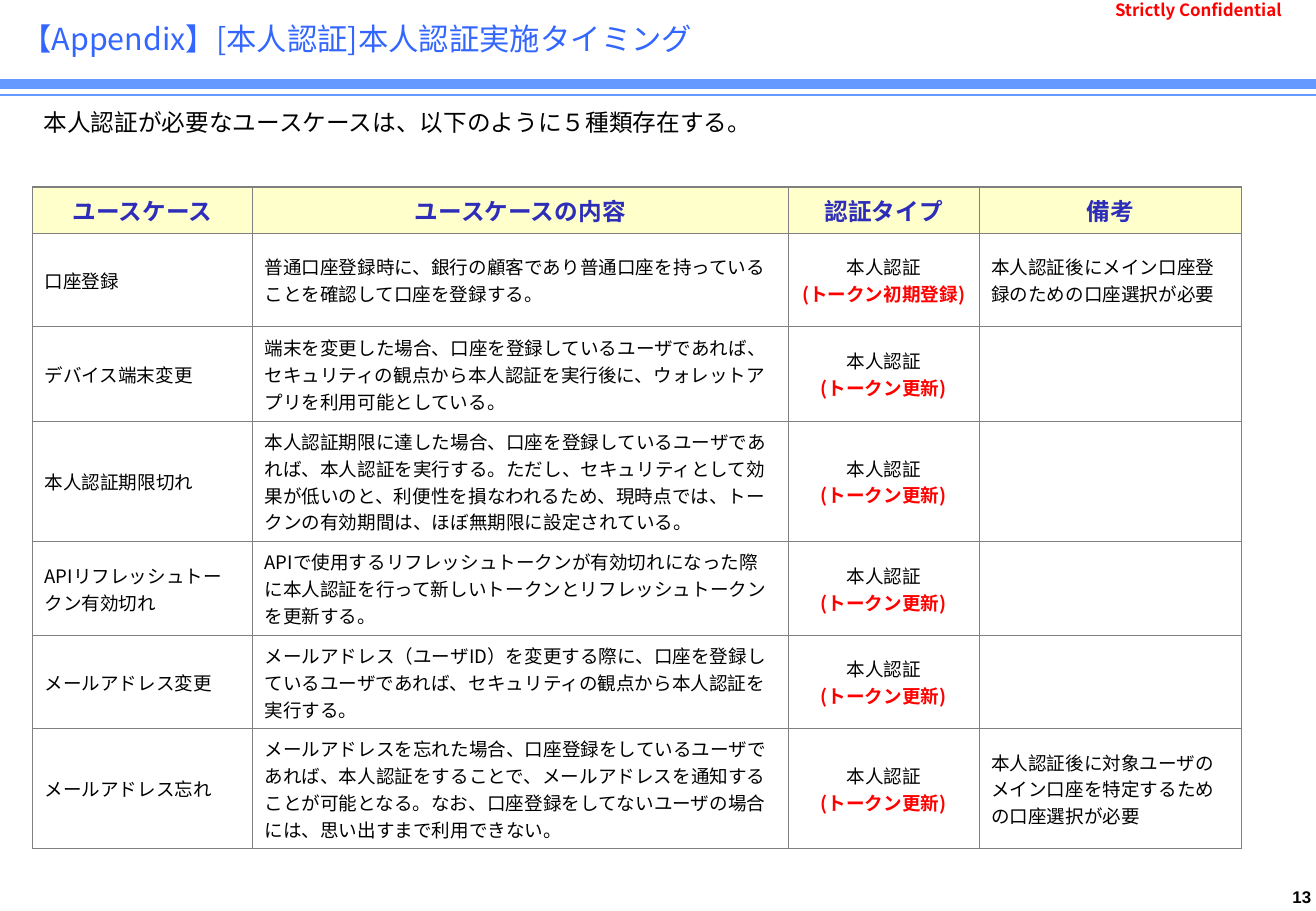
from dataclasses import dataclass

from lxml import etree
from pptx import Presentation
from pptx import util as u
from pptx.dml.color import RGBColor
from pptx.enum import shapes, text
from pptx.oxml import ns

FONT = "Noto Sans CJK JP"
BLUE, RED, BLACK = "6699FF", "FF0000", "000000"
GREY, NAVY, CREAM = "808080", "2D2DB9", "FFFFCC"
LEFT, MID, RIGHT, JUST = (text.PP_ALIGN.LEFT, text.PP_ALIGN.CENTER,
                          text.PP_ALIGN.RIGHT, text.PP_ALIGN.JUSTIFY)
TOP, CENTER = text.MSO_ANCHOR.TOP, text.MSO_ANCHOR.MIDDLE


@dataclass
class Label:
    words: str
    left: float
    top: float
    width: float
    height: float
    size: float
    color: str = BLACK
    bold: bool = False
    align: text.PP_ALIGN = LEFT
    anchor: text.MSO_ANCHOR = TOP
    font: str = FONT
    wrap: bool = True
    side: float = 0.25
    edge: float = 0.13


@dataclass
class Rule:
    top: float
    weight: float


@dataclass
class Case:
    name: str
    detail: str
    token: str
    note: str
    height: float


LABELS = [
    Label("13", 26.7, 18.44, 0.81, 0.64, 10, bold=True, align=RIGHT,
          font="Arial", wrap=False, side=0.1, edge=0.1),
    Label("Strictly Confidential", 23.11, 0.08, 4.47, 0.25, 10, RED, True,
          JUST, CENTER, side=0.2, edge=0.1),
    Label("【Appendix】[本人認証]本人認証実施タイミング",
          0.2, 0.16, 26.37, 1.3, 18, "3366FF", anchor=CENTER),
    Label("本人認証が必要なユースケースは、以下のように５種類存在する。",
          0.66, 2.13, 26.21, 1.6, 14),
]
RULES = [Rule(1.75, 6), Rule(1.98, 1)]
HEADS = ["ユースケース", "ユースケースの内容", "認証タイプ", "備考"]
WIDTHS = [4.6, 11.2, 3.99, 5.49]
HEAD_H = 0.97
RENEW = "(トークン更新)"
CASES = [
    Case("口座登録",
         "普通口座登録時に、銀行の顧客であり普通口座を持っていることを確認して口座を登録する。",
         "(トークン初期登録)",
         "本人認証後にメイン口座登録のための口座選択が必要", 1.95),
    Case("デバイス端末変更",
         "端末を変更した場合、口座を登録しているユーザであれば、セキュリティの観点から"
         "本人認証を実行後に、ウォレットアプリを利用可能としている。",
         RENEW, "", 1.98),
    Case("本人認証期限切れ",
         "本人認証期限に達した場合、口座を登録しているユーザであれば、本人認証を実行する。"
         "ただし、セキュリティとして効果が低いのと、利便性を損なわれるため、現時点では、"
         "トークンの有効期間は、ほぼ無期限に設定されている。",
         RENEW, "", 2.51),
    Case("APIリフレッシュトークン有効切れ",
         "APIで使用するリフレッシュトークンが有効切れになった際に本人認証を行って"
         "新しいトークンとリフレッシュトークンを更新する。",
         RENEW, "", 1.97),
    Case("メールアドレス変更",
         "メールアドレス（ユーザID）を変更する際に、口座を登録しているユーザであれば、"
         "セキュリティの観点から本人認証を実行する。",
         RENEW, "", 1.95),
    Case("メールアドレス忘れ",
         "メールアドレスを忘れた場合、口座登録をしているユーザであれば、本人認証をすることで、"
         "メールアドレスを通知することが可能となる。なお、口座登録をしてないユーザの場合には、"
         "思い出すまで利用できない。",
         RENEW, "本人認証後に対象ユーザのメイン口座を特定するための口座選択が必要", 2.51),
]


def paint(code: str) -> RGBColor:
    return RGBColor.from_string(code)


def style(para, size: float, color: str, bold: bool, align, font: str = FONT) -> None:
    para.alignment = align
    for run in para.runs:
        run.font.size = u.Pt(size)
        run.font.bold = bold
        run.font.name = font
        run.font.color.rgb = paint(color)
        east = etree.SubElement(run.font._element, ns.qn("a:ea"))
        east.set("typeface", font)


def draw_rule(slide, rule: Rule, width: int) -> None:
    line = slide.shapes.add_connector(
        shapes.MSO_CONNECTOR.STRAIGHT, 0, u.Cm(rule.top), width, u.Cm(rule.top))
    line.line.width = u.Pt(rule.weight)
    line.line.color.rgb = paint(BLUE)
    etree.SubElement(line._element.spPr, ns.qn("a:effectLst"))


def draw_label(slide, label: Label) -> None:
    box = slide.shapes.add_textbox(
        *map(u.Cm, (label.left, label.top, label.width, label.height)))
    frame = box.text_frame
    frame.word_wrap = label.wrap
    frame.vertical_anchor = label.anchor
    frame.margin_left = frame.margin_right = u.Cm(label.side)
    frame.margin_top = frame.margin_bottom = u.Cm(label.edge)
    frame.text = label.words
    style(frame.paragraphs[0], label.size, label.color, label.bold,
          label.align, label.font)


def draw_cell(cell, words: str, fill: str = "") -> None:
    cell.vertical_anchor = CENTER
    cell.margin_left = cell.margin_right = u.Cm(0.25)
    cell.margin_top = cell.margin_bottom = u.Cm(0.13)
    cell.text_frame.text = words
    # Borders go ahead of the fill
    props = cell._tc.get_or_add_tcPr()
    for side in ("lnL", "lnR", "lnT", "lnB"):
        edge = etree.SubElement(props, ns.qn("a:" + side), w=str(u.Pt(0.75)))
        solid = etree.SubElement(edge, ns.qn("a:solidFill"))
        etree.SubElement(solid, ns.qn("a:srgbClr"), val=GREY)
    if fill:
        cell.fill.solid()
        cell.fill.fore_color.rgb = paint(fill)
    else:
        cell.fill.background()


def draw_table(slide) -> None:
    tall = [HEAD_H] + [case.height for case in CASES]
    table = slide.shapes.add_table(
        len(tall), len(WIDTHS), u.Cm(0.68), u.Cm(3.91),
        u.Cm(sum(WIDTHS)), u.Cm(sum(tall))).table
    table.first_row = table.horz_banding = False
    for col, width in zip(table.columns, WIDTHS):
        col.width = u.Cm(width)
    for row, height in zip(table.rows, tall):
        row.height = u.Cm(height)
    # Heading row
    for c, head in enumerate(HEADS):
        cell = table.cell(0, c)
        draw_cell(cell, head, CREAM)
        style(cell.text_frame.paragraphs[0], 14, NAVY, True, MID)
    # Use cases, with the token step in red
    for r, case in enumerate(CASES, 1):
        kind = "本人認証\n" + case.token
        for c, words in enumerate((case.name, case.detail, kind, case.note)):
            cell = table.cell(r, c)
            draw_cell(cell, words)
            for n, para in enumerate(cell.text_frame.paragraphs):
                style(para, 11, RED if n else BLACK, n > 0,
                      MID if c == 2 else LEFT)


def main() -> None:
    deck = Presentation()
    deck.slide_width, deck.slide_height = u.Cm(27.51), u.Cm(19.05)
    slide = deck.slides.add_slide(deck.slide_layouts[6])
    for rule in RULES:
        draw_rule(slide, rule, deck.slide_width)
    for label in LABELS:
        draw_label(slide, label)
    draw_table(slide)
    deck.save("out.pptx")


if __name__ == "__main__":
    main()
